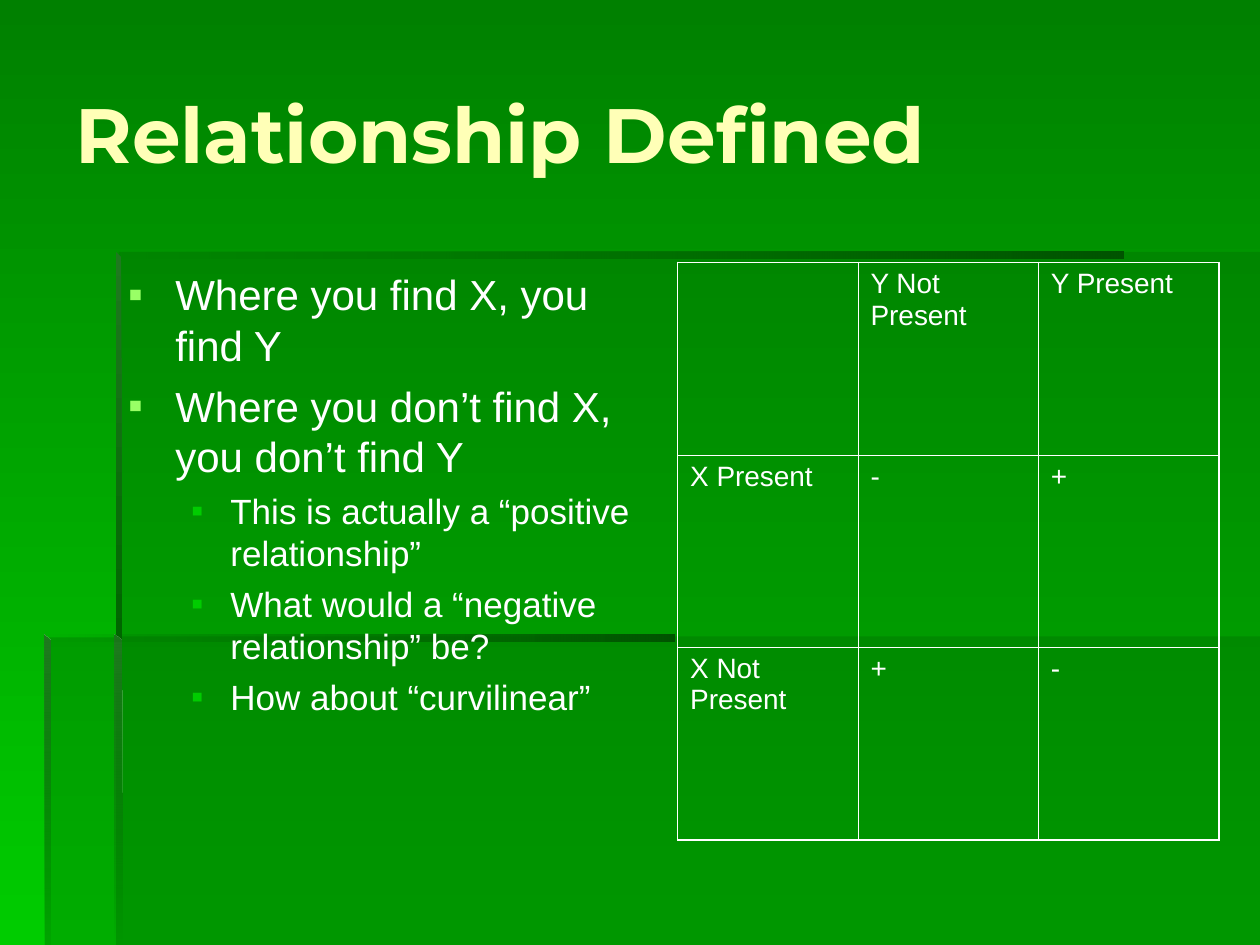
from dataclasses import dataclass, field

from lxml.etree import SubElement
from pptx import Presentation
from pptx.dml.color import RGBColor
from pptx.enum.text import MSO_ANCHOR, MSO_AUTO_SIZE, PP_ALIGN
from pptx.oxml.ns import qn
from pptx.slide import Slide
from pptx.util import Cm, Pt

COLORS = {
    "top": "008000", "bottom": "00CC00",
    "panel": "006600", "shade": "005400", "glint": "1F791F",
    "title": "FFFFB7", "text": "FFFFFF",
    "bullet": "99FF66", "sub_bullet": "00CC00",
}
ACROSS, DOWN = 0, 270  # gradient angles, counter-clockwise


@dataclass
class GreenDeck:
    slide: Slide
    title_font: str = "Montserrat"
    body_font: str = "Arial"
    colors: dict = field(default_factory=lambda: COLORS)

    def rgb(self, name):
        return RGBColor.from_string(self.colors[name])

    def gradient(self, fill, names, angle):
        fill.gradient()
        fill.gradient_angle = angle
        for stop, name in zip(fill.gradient_stops, names):
            stop.color.rgb = self.rgb(name)

    def outline(self, points, names, opacities, angle=None):
        """Draw a borderless polygon; points in cm, opacities in percent."""
        corners = [(Cm(x), Cm(y)) for x, y in points]
        builder = self.slide.shapes.build_freeform(*corners[0])
        builder.add_line_segments(corners[1:], close=True)
        polygon = builder.convert_to_shape()
        polygon.shadow.inherit = False
        polygon.line.fill.background()
        if angle is None:
            polygon.fill.solid()
            polygon.fill.fore_color.rgb = self.rgb(names[0])
        else:
            self.gradient(polygon.fill, names, angle)
        paints = polygon.element.spPr.iter(qn("a:srgbClr"))
        for paint, opacity in zip(paints, opacities):
            SubElement(paint, qn("a:alpha"), val=str(opacity * 1000))

    def style_runs(self, paragraph, size, color="text", font=None, bold=False):
        for run in paragraph.runs:
            run.font.name = font or self.body_font
            run.font.size = Pt(size)
            run.font.bold = bold
            run.font.color.rgb = self.rgb(color)

    def place(self, holder, left, top, width, height):
        """Position a placeholder and bring it in front of the panels."""
        self.slide.shapes.element.append(holder.element)
        holder.left, holder.top = Cm(left), Cm(top)
        holder.width, holder.height = Cm(width), Cm(height)
        holder.text_frame.auto_size = MSO_AUTO_SIZE.NONE
        holder.text_frame.word_wrap = True

    def title(self, wording, box):
        heading = self.slide.shapes.title
        self.place(heading, *box)
        frame = heading.text_frame
        frame.text = wording
        frame.vertical_anchor = MSO_ANCHOR.MIDDLE
        frame.paragraphs[0].alignment = PP_ALIGN.LEFT
        self.style_runs(frame.paragraphs[0], 44, "title", self.title_font, True)

    def bullets(self, points, box):
        """Fill the body placeholder with (level, wording) points."""
        levels = [(24, 6, 0.95, -0.95, "bullet"), (20, 5, 2.06, -0.79, "sub_bullet")]
        body = self.slide.placeholders[1]
        self.place(body, *box)
        frame = body.text_frame
        frame.text = "\n".join(wording for _, wording in points)
        for index, (paragraph, (level, _)) in enumerate(zip(frame.paragraphs, points)):
            size, gap, margin, indent, mark_color = levels[level]
            paragraph.level = level
            paragraph.space_before = Pt(gap if index else 0)
            props = paragraph._p.get_or_add_pPr()
            props.set("marL", str(Cm(margin)))
            props.set("indent", str(Cm(indent)))
            mark = SubElement(props, qn("a:buClr"))
            SubElement(mark, qn("a:srgbClr"), val=self.colors[mark_color])
            SubElement(props, qn("a:buFont"), typeface=self.body_font)
            SubElement(props, qn("a:buChar"), char="▪")
            self.style_runs(paragraph, size)

    def border(self, cell, side, width):
        line = SubElement(cell._tc.get_or_add_tcPr(), qn(f"a:ln{side}"), w=str(Pt(width)))
        paint = SubElement(line, qn("a:solidFill"))
        SubElement(paint, qn("a:srgbClr"), val=self.colors["text"])

    def table(self, rows, box):
        """Draw a clear grid with a heavier outer frame."""
        last_row, last_col = len(rows) - 1, len(rows[0]) - 1
        grid = self.slide.shapes.add_table(len(rows), len(rows[0]), *map(Cm, box)).table
        grid.first_row = grid.horz_banding = False
        for r, row in enumerate(rows):
            for c, wording in enumerate(row):
                cell = grid.cell(r, c)
                cell.text = wording
                self.style_runs(cell.text_frame.paragraphs[0], 16)
                outer = {"L": c == 0, "R": c == last_col, "T": r == 0, "B": r == last_row}
                for side, is_outer in outer.items():
                    self.border(cell, side, 1.08 if is_outer else 0.45)
                cell.fill.background()


def main():
    deck = Presentation()
    deck.slide_width, deck.slide_height = Cm(25.4), Cm(19.05)
    page = GreenDeck(deck.slides.add_slide(deck.slide_layouts[1]))
    page.gradient(page.slide.background.fill, ("top", "bottom"), DOWN)

    right, bottom = 25.4, 19.05
    page.outline([(2.34, 12.83), (2.34, bottom), (right, bottom), (right, 12.83)],
                 ["panel"], [30])
    page.outline([(2.39, 12.85), (0.91, 12.85), (0.91, bottom), (right, bottom),
                  (right, 5.08), (2.39, 5.08)], ["panel"], [30])

    upper_edge = [(2.34, 5.08), (2.34, 5.21), (22.65, 5.21), (22.65, 5.08)]
    lower_edge = [(0.89, 12.8), (0.89, 12.93), (13.59, 12.93), (13.59, 12.8)]
    upper_side = [(2.34, 5.08), (2.34, 12.95), (2.46, 12.95), (2.44, 5.18)]
    inner_side = [(2.31, bottom), (2.46, bottom), (2.44, 12.9), (2.31, 12.8)]
    outer_side = [(0.89, 12.8), (0.89, bottom), (1.02, bottom), (1.02, 12.93)]
    page.outline(upper_edge, ("panel", "shade"), (0, 100), ACROSS)
    page.outline(upper_side, ("glint", "panel"), (100, 100), DOWN)
    page.outline(inner_side, ("glint", "panel"), (100, 0), DOWN)
    page.outline(lower_edge, ("panel", "shade"), (0, 100), ACROSS)
    page.outline(outer_side, ("glint", "panel"), (100, 10), DOWN)

    page.title("Relationship Defined", (1.27, 0.69, 23.29, 3.99))
    page.bullets([
        (0, "Where you find X, you find Y"),
        (0, "Where you don’t find X, you don’t find Y"),
        (1, "This is actually a “positive relationship”"),
        (1, "What would a “negative relationship” be?"),
        (1, "How about “curvilinear”"),
    ], (2.33, 5.29, 10.92, 11.64))
    page.table([
        ["", "Y Not Present", "Y Present"],
        ["X Present", "-", "+"],
        ["X Not Present", "+", "-"],
    ], (13.66, 5.29, 10.91, 11.64))
    deck.save("out.pptx")


if __name__ == "__main__":
    main()
